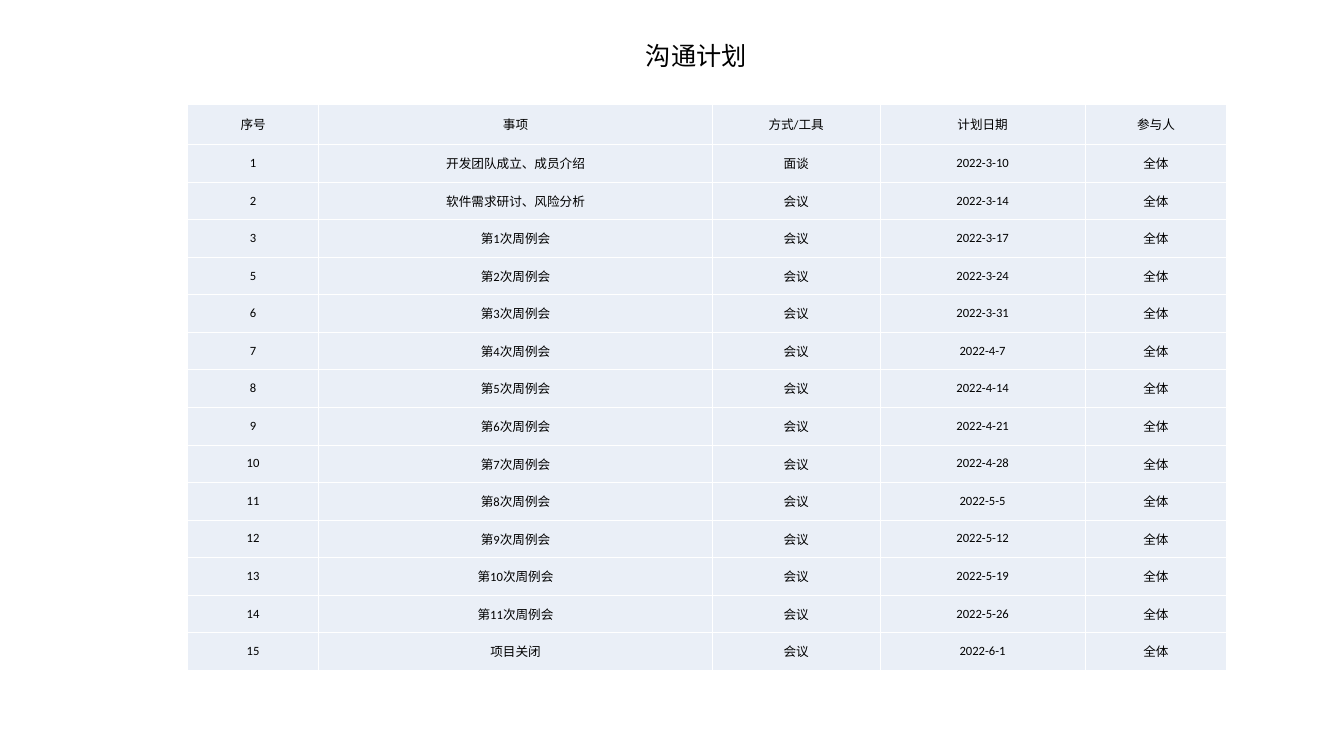
from lxml import etree
from pptx import Presentation
from pptx.dml.color import RGBColor
from pptx.enum.text import MSO_ANCHOR, MSO_AUTO_SIZE, PP_ALIGN
from pptx.oxml.ns import qn
from pptx.util import Cm, Pt

TOP, MIDDLE = MSO_ANCHOR.TOP, MSO_ANCHOR.MIDDLE
LEFT, CENTER = PP_ALIGN.LEFT, PP_ALIGN.CENTER
FIT_SHAPE = MSO_AUTO_SIZE.SHAPE_TO_FIT_TEXT
COLORS = {"text": "000000", "cell": "EAEFF7", "border": "FFFFFF"}
TITLE_ONLY = 5

HEADER = ("序号", "事项", "方式/工具", "计划日期", "参与人")
COLUMN_WIDTHS = (3.3, 9.93, 4.22, 5.18, 3.56)
HEADER_HEIGHT, TABLE_HEIGHT = 1.02, 14.27
WEEKLY_DATES = (
    "2022-3-17", "2022-3-24", "2022-3-31", "2022-4-7", "2022-4-14", "2022-4-21",
    "2022-4-28", "2022-5-5", "2022-5-12", "2022-5-19", "2022-5-26",
)


def write(frame, text, size, alignment):
    frame.text = text
    para = frame.paragraphs[0]
    para.alignment = alignment
    font = para.runs[0].font
    font.color.rgb = RGBColor.from_string(COLORS["text"])
    for name, value in {"name": "Calibri", "size": Pt(size), "bold": False}.items():
        setattr(font, name, value)


def add_borders(cell):
    properties = cell._tc.get_or_add_tcPr()
    for side in ("a:lnL", "a:lnR", "a:lnT", "a:lnB"):
        line = etree.SubElement(properties, qn(side), w=str(Pt(0.45)))
        fill = etree.SubElement(line, qn("a:solidFill"))
        etree.SubElement(fill, qn("a:srgbClr"), val=COLORS["border"])


deck = Presentation()
deck.slide_width, deck.slide_height = Cm(33.88), Cm(19.05)
page = deck.slides.add_slide(deck.slide_layouts[TITLE_ONLY])

# Title
title = page.shapes.title
title_place = {"left": 16.03, "top": 0.89, "width": 3.58, "height": 1.02}
for name, value in title_place.items():
    setattr(title, name, Cm(value))
write(title.text_frame, "沟通计划", 18, LEFT)
title_format = {"vertical_anchor": TOP, "word_wrap": True, "auto_size": FIT_SHAPE}
for name, value in title_format.items():
    setattr(title.text_frame, name, value)

# Plan rows: two opening events, the weekly meetings, the closing
events = [
    ("开发团队成立、成员介绍", "面谈", "2022-3-10"),
    ("软件需求研讨、风险分析", "会议", "2022-3-14"),
]
for week, date in enumerate(WEEKLY_DATES, start=1):
    events.append((f"第{week}次周例会", "会议", date))
events.append(("项目关闭", "会议", "2022-6-1"))
numbers = [1, 2, 3, *range(5, 16)]
rows = [HEADER]
for number, event in zip(numbers, events):
    rows.append((str(number), *event, "全体"))

# Table
table = page.shapes.add_table(
    len(rows), len(HEADER), Cm(4.73), Cm(2.62), Cm(sum(COLUMN_WIDTHS)), Cm(TABLE_HEIGHT)
).table
for column, width in zip(table.columns, COLUMN_WIDTHS):
    column.width = Cm(width)
for row in table.rows:
    row.height = Cm((TABLE_HEIGHT - HEADER_HEIGHT) / len(events))
table.rows[0].height = Cm(HEADER_HEIGHT)

cell_format = {
    "vertical_anchor": MIDDLE,
    "margin_left": Cm(0.08), "margin_right": Cm(0.08),
    "margin_top": Cm(0.13), "margin_bottom": Cm(0.13),
}
for row, texts in zip(table.rows, rows):
    for cell, text in zip(row.cells, texts):
        write(cell.text_frame, text, 9, CENTER)
        for name, value in cell_format.items():
            setattr(cell, name, value)
        add_borders(cell)
        cell.fill.solid()
        cell.fill.fore_color.rgb = RGBColor.from_string(COLORS["cell"])

deck.save("out.pptx")
